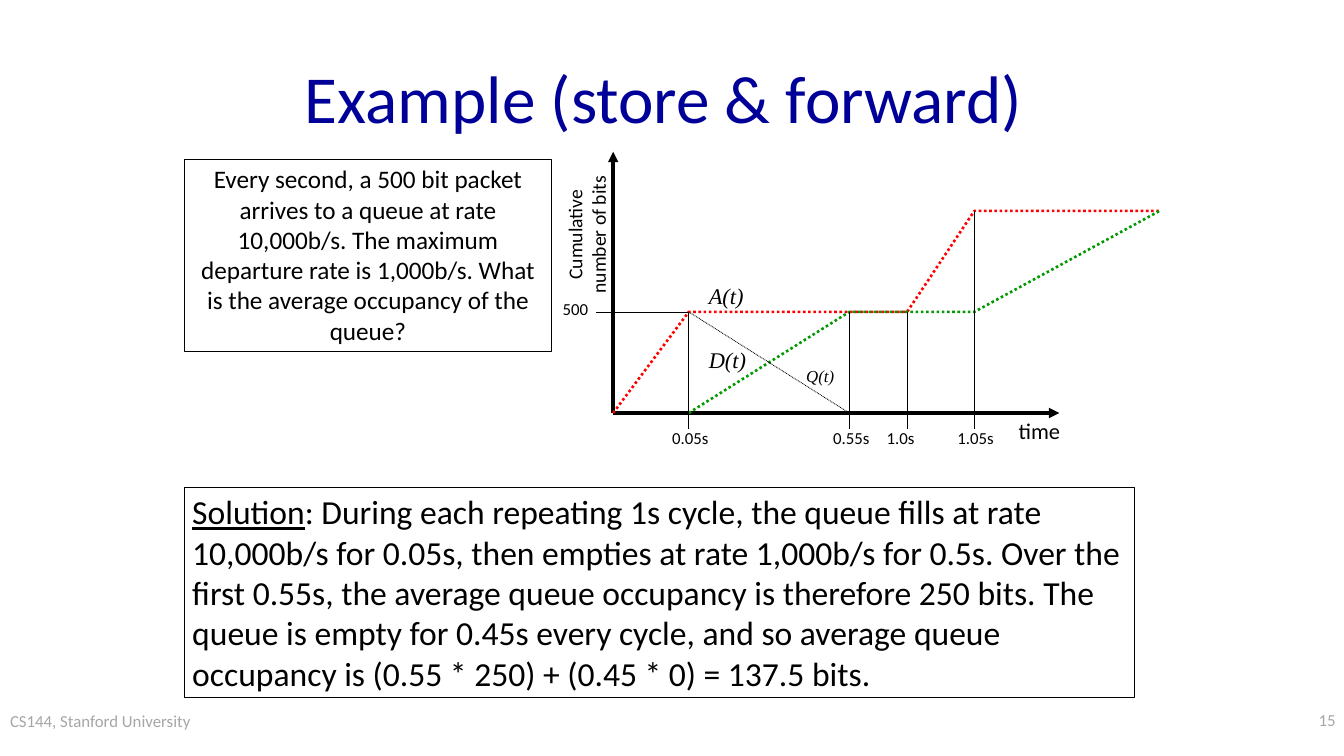
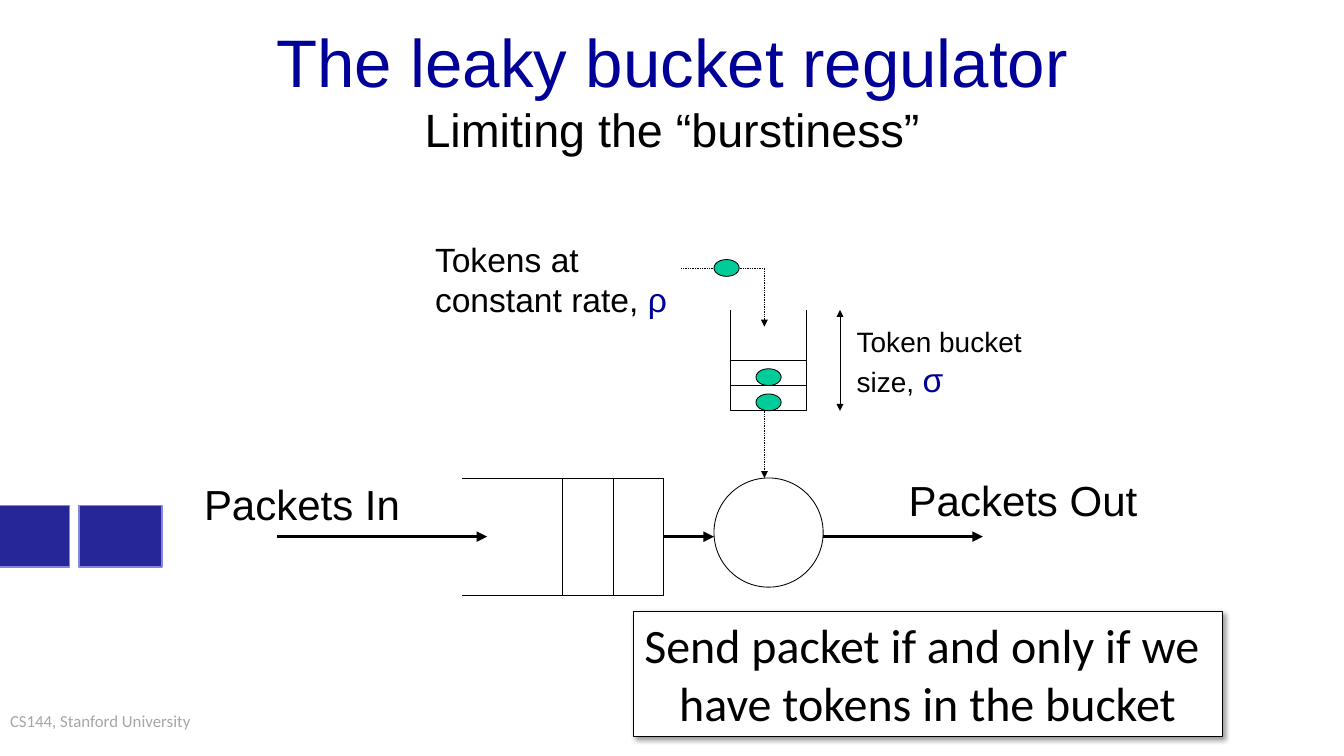
import pptx
import pptx.util
import pptx.dml.color
import pptx.enum.dml
import pptx.enum.shapes
import pptx.enum.text
import pptx.oxml.ns
from lxml import etree

Pt = pptx.util.Pt
qn = pptx.oxml.ns.qn
SHAPE = pptx.enum.shapes.MSO_SHAPE
ALIGN = pptx.enum.text.PP_ALIGN
ANCHOR = pptx.enum.text.MSO_ANCHOR

# Shared style
WIDTH, HEIGHT = 1152, 648
BLACK, WHITE, NAVY, GREY = "000000", "FFFFFF", "000099", "A6A6A6"
RED, GREEN, TOKEN = "FF0000", "009900", "00CC99"
SQUARE_FILL, SQUARE_LINE = "262699", "8585E0"
BODY, SANS, SERIF = "Calibri", "Arial", "Times New Roman"
THIN, THICK = 0.75, 3
TITLE_SIZE, SMALL = 57.6, 14.4
FOOTER = "CS144, Stanford University"

# Slide 1: question, solution and graph
QUESTION = ("Every second, a 500 bit packet arrives to a queue at rate 10,000b/s. "
            "The maximum departure rate is 1,000b/s. "
            "What is the average occupancy of the queue?")
SOLUTION = (": During each repeating 1s cycle, the queue fills at rate 10,000b/s for 0.05s, "
            "then empties at rate 1,000b/s for 0.5s. Over the first 0.55s, the average queue "
            "occupancy is therefore 250 bits. The queue is empty for 0.45s every cycle, and so "
            "average queue occupancy is (0.55 * 250) + (0.45 * 0) = 137.5 bits.")
ORIGIN_X, ORIGIN_Y, PACKET_HEIGHT = 525.6, 354, 86.6
AXIS_END_X, AXIS_END_Y, TICK_END = 908, 130, 368
TIME_X = {"0": ORIGIN_X, "0.05s": 590.4, "0.55s": 728, "1.0s": 777.6,
          "1.05s": 835.2, "end": 994}
# time, packets at the top of the drop line, label left, label width
TICKS = [("0.05s", 1, 569, 46), ("0.55s", 1, 707, 46),
         ("1.0s", 1, 753, 39), ("1.05s", 2, 813.6, 46)]
# colour, (time, packets) corners
CURVES = [
    (RED, [("0", 0), ("0.05s", 1), ("1.0s", 1), ("1.05s", 2), ("end", 2)]),
    (GREEN, [("0.05s", 0), ("0.55s", 1), ("1.05s", 1), ("end", 2)]),
]
# text, place, font, size, italic
GRAPH_LABELS = [
    ("D(t)", (600.5, 293, 61, 30), SERIF, 19.2, True),
    ("A(t)", (600.5, 238.3, 55, 30), SERIF, 19.2, True),
    ("Q(t)", (684, 309.6, 61, 24.5), SERIF, SMALL, True),
    ("time", (866, 354, 91, 30), BODY, 19.2, False),
]

# Slide 2: queue, regulator and token bucket
QUEUE_LEFT, QUEUE_RIGHT, QUEUE_TOP, QUEUE_BOTTOM, PACKET_WIDTH = 396, 568.8, 409.7, 510.5, 43.2
BUCKET_LEFT, BUCKET_RIGHT, BUCKET_TOP, BUCKET_BOTTOM, SHELF = 626.4, 691.2, 265.7, 352.1, 21.6
REGULATOR = (612, 409.7, 93.6, 93.6)
FLOW_Y, DROP_X, FEED_Y = 460, 655.2, 230
FLOW_ARROWS = [(QUEUE_RIGHT, 612), (705.6, 842.4), (237.6, 417.6)]
TOKENS = [(648, 337.7), (648, 316.1), (612, 222.5)]
SQUARES = [(67.7, 71.3), (-5.8, 65.5)]
# place, size, paragraphs of (text, style changes)
FLOW_LABELS = [
    ((365.8, 200.9, 213.8, 77), 28.8,
     [[("Tokens at", {})], [("constant rate, ", {}), ("ρ", {"color": NAVY})]]),
    ((727.2, 275, 157.7, 71.3), 24,
     [[("Token bucket", {})],
      [("size,", {}), (" ", {"font": SERIF, "size": 28.8}),
       ("σ", {"color": NAVY, "size": 28.8})]]),
    ((167.8, 406.8, 184.3, 51.1), 36, [[("Packets In", {})]]),
    ((771.8, 403.2, 212.4, 51.1), 36, [[("Packets Out", {})]]),
]


def rgb(color):
    return pptx.dml.color.RGBColor.from_string(color)


def place(x, y, width, height):
    return Pt(x), Pt(y), Pt(width), Pt(height)


def write(box, paragraphs, size, font=BODY, color=BLACK, align=ALIGN.LEFT,
          anchor=ANCHOR.TOP, wrap=True):
    frame = box.text_frame
    frame.word_wrap = wrap
    frame.vertical_anchor = anchor
    for index, spans in enumerate(paragraphs):
        para = frame.add_paragraph() if index else frame.paragraphs[0]
        para.alignment = align
        for text, changes in spans:
            for row, piece in enumerate(text.split("\n")):
                if row:
                    para.add_line_break()
                if not piece:
                    continue
                span = para.add_run()
                span.text = piece
                span.font.name = changes.get("font", font)
                span.font.size = Pt(changes.get("size", size))
                span.font.color.rgb = rgb(changes.get("color", color))
                span.font.italic = changes.get("italic")
                span.font.underline = changes.get("underline")
    return box


def add_text(page, at, paragraphs, size, **style):
    return write(page.shapes.add_textbox(*place(*at)), paragraphs, size, **style)


def style_line(shape, color=BLACK, width=THIN, dotted=False, head=False, tail=False):
    shape.line.color.rgb = rgb(color)
    shape.line.width = Pt(width)
    if dotted:
        shape.line.dash_style = pptx.enum.dml.MSO_LINE.ROUND_DOT
    outline = shape.element.spPr.get_or_add_ln()
    for tag, wanted in (("a:headEnd", head), ("a:tailEnd", tail)):
        if wanted:
            etree.SubElement(outline, qn(tag), type="triangle")


def add_line(page, start, end, **style):
    line = page.shapes.add_connector(pptx.enum.shapes.MSO_CONNECTOR.STRAIGHT,
                                     Pt(start[0]), Pt(start[1]), Pt(end[0]), Pt(end[1]))
    style_line(line, **style)
    etree.SubElement(line.element.spPr, qn("a:effectLst"))


def add_path(page, points, **style):
    corners = [(Pt(x), Pt(y)) for x, y in points]
    builder = page.shapes.build_freeform(*corners[0])
    builder.add_line_segments(corners[1:], close=False)
    outline = builder.convert_to_shape()
    outline.fill.background()
    outline.shadow.inherit = False
    style_line(outline, **style)


def add_shape(page, kind, at, fill=None, **style):
    shape = page.shapes.add_shape(kind, *place(*at))
    shape.shadow.inherit = False
    if fill:
        shape.fill.solid()
        shape.fill.fore_color.rgb = rgb(fill)
    else:
        shape.fill.background()
    style_line(shape, **style)
    return shape


def add_shadow(shape):
    effects = shape.element.spPr.find(qn("a:effectLst"))
    shadow = etree.SubElement(effects, qn("a:outerShdw"), blurRad=str(Pt(4)),
                              dist=str(Pt(3)), dir="2700000", algn="tl", rotWithShape="0")
    tint = etree.SubElement(shadow, qn("a:srgbClr"), val=BLACK)
    etree.SubElement(tint, qn("a:alpha"), val="40000")


def add_page(deck, title_at, title, font):
    page = deck.slides.add_slide(deck.slide_layouts[6])
    footer = add_text(page, (0, 604.8, 278.6, 43.2), [[(FOOTER, {})]], SMALL, color=GREY)
    frame = footer.text_frame
    frame.margin_left = frame.margin_right = Pt(8.64)
    frame.margin_top = frame.margin_bottom = Pt(4.32)
    add_text(page, title_at, [title], TITLE_SIZE, font=font, color=NAVY,
             align=ALIGN.CENTER, anchor=ANCHOR.MIDDLE)
    return page


def graph_point(time, packets):
    return TIME_X[time], ORIGIN_Y - packets * PACKET_HEIGHT


def build_example(deck):
    page = add_page(deck, (201.6, 28.8, 734.4, 108), [("Example (store & forward)", {})], BODY)
    add_text(page, (912, 604.8, 240, 43.2), [[("15", {})]], SMALL, color=GREY,
             align=ALIGN.RIGHT)

    # Question and solution
    question = add_shape(page, SHAPE.RECTANGLE, (157.7, 136.8, 315.4, 164.2))
    write(question, [[(QUESTION, {})]], 21.6, align=ALIGN.CENTER)
    solution = add_shape(page, SHAPE.RECTANGLE, (157.7, 417.6, 814.3, 180))
    write(solution, [[("Solution", {"underline": True}), (SOLUTION, {})]], 28.8)

    # Axes
    origin = (ORIGIN_X, ORIGIN_Y)
    for end in ((AXIS_END_X, ORIGIN_Y), (ORIGIN_X, AXIS_END_Y)):
        add_line(page, origin, end, width=THICK, tail=True)
    axis_title = add_text(page, (445, 177.1, 116, 48.2),
                          [[("Cumulative", {})], [("number of bits", {})]], 16.8,
                          align=ALIGN.CENTER, wrap=False)
    axis_title.rotation = 270

    # Arrivals, departures and occupancy
    for color, corners in CURVES:
        add_path(page, [graph_point(*corner) for corner in corners],
                 color=color, width=2.25, dotted=True)
    add_line(page, graph_point("0.05s", 1), graph_point("0.55s", 0), dotted=True)
    for text, at, font, size, italic in GRAPH_LABELS:
        add_text(page, at, [[(text, {"italic": italic})]], size, font=font)

    # Ticks
    for time, packets, left, width in TICKS:
        add_line(page, graph_point(time, packets), (TIME_X[time], TICK_END))
        add_text(page, (left, 363.4, width, 24.5), [[(time, {})]], SMALL, wrap=False)
    full_packet = graph_point("0.05s", 1)
    add_line(page, (511.2, full_packet[1]), full_packet)
    add_text(page, (475.2, 252.7, 36.7, 24.5), [[("500", {})]], SMALL, wrap=False)


def build_leaky_bucket(deck):
    title = [("The leaky bucket regulator\n", {}),
             ("Limiting the “burstiness”", {"size": 40, "color": BLACK})]
    page = add_page(deck, (151.2, 14.4, 849.6, 122.4), title, SANS)

    # Regulator and packet queue
    add_shape(page, SHAPE.OVAL, REGULATOR, fill=WHITE)
    add_path(page, [(QUEUE_LEFT, QUEUE_TOP), (QUEUE_RIGHT, QUEUE_TOP),
                    (QUEUE_RIGHT, QUEUE_BOTTOM), (QUEUE_LEFT, QUEUE_BOTTOM)])
    for count in (1, 2):
        x = QUEUE_RIGHT - count * PACKET_WIDTH
        add_line(page, (x, QUEUE_TOP), (x, QUEUE_BOTTOM))

    # Token bucket
    add_path(page, [(BUCKET_RIGHT, BUCKET_TOP), (BUCKET_RIGHT, BUCKET_BOTTOM),
                    (BUCKET_LEFT, BUCKET_BOTTOM), (BUCKET_LEFT, BUCKET_TOP)])
    for count in (1, 2):
        y = BUCKET_BOTTOM - count * SHELF
        add_line(page, (BUCKET_LEFT, y), (BUCKET_RIGHT, y))

    # Flow of packets and tokens
    for start, end in FLOW_ARROWS:
        add_line(page, (start, FLOW_Y), (end, FLOW_Y), width=THICK, tail=True)
    add_line(page, (DROP_X, BUCKET_BOTTOM), (DROP_X, QUEUE_TOP), dotted=True, tail=True)
    add_path(page, [(584, FEED_Y), (DROP_X, FEED_Y), (DROP_X, 280)], dotted=True, tail=True)
    for x, y in TOKENS:
        add_shape(page, SHAPE.OVAL, (x, y, 21.6, 14.4), fill=TOKEN)
    add_line(page, (720, BUCKET_TOP), (720, BUCKET_BOTTOM), head=True, tail=True)
    for at, size, paragraphs in FLOW_LABELS:
        add_text(page, at, paragraphs, size, font=SANS, wrap=False)

    # Rule and waiting packets
    rule = add_shape(page, SHAPE.RECTANGLE, (542.9, 524.2, 504.7, 107.3), fill=WHITE)
    add_shadow(rule)
    write(rule, [[("Send packet if and only if we \nhave tokens in the bucket", {})]], 41.1,
          align=ALIGN.CENTER, wrap=False)
    for x, width in SQUARES:
        add_shape(page, SHAPE.RECTANGLE, (x, 433.4, width, 52.6), fill=SQUARE_FILL,
                  color=SQUARE_LINE, width=1.5)


def main():
    deck = pptx.Presentation()
    deck.slide_width, deck.slide_height = Pt(WIDTH), Pt(HEIGHT)
    build_example(deck)
    build_leaky_bucket(deck)
    deck.save("out.pptx")


if __name__ == "__main__":
    main()
